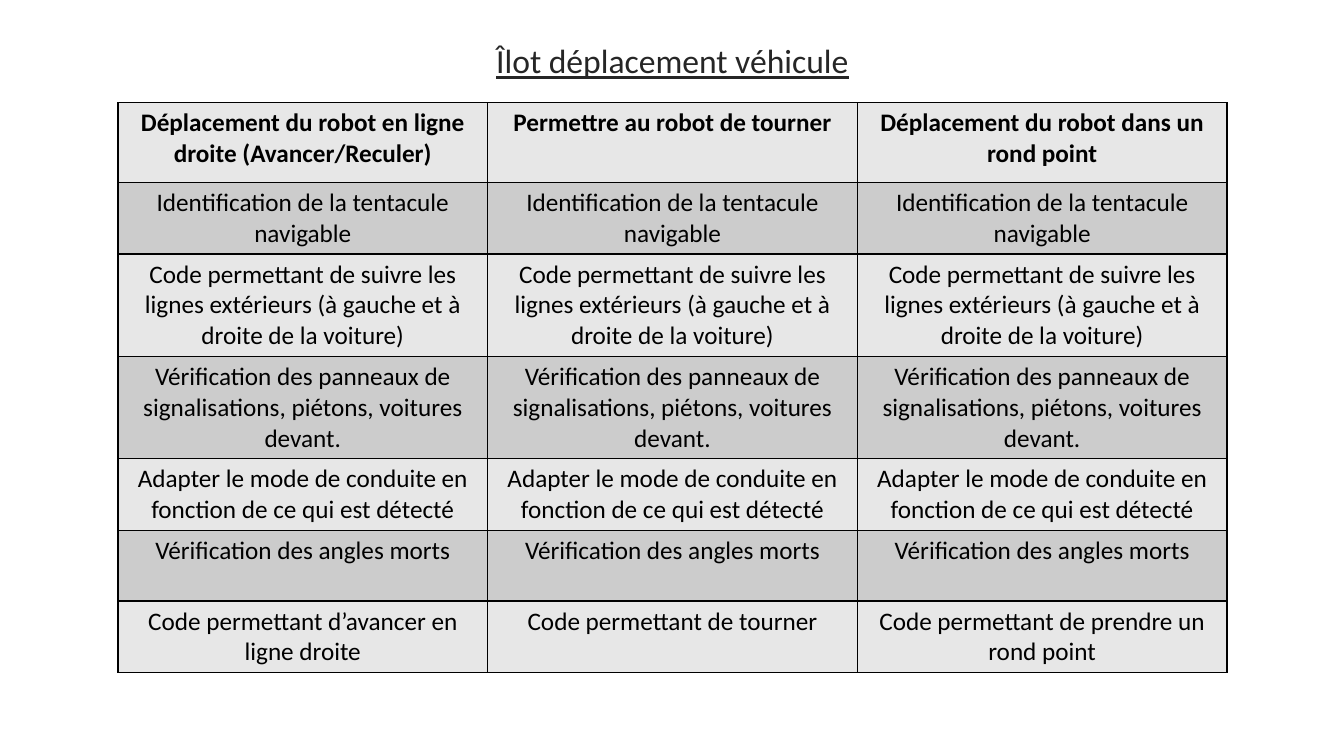
from lxml import etree
from pptx import Presentation
from pptx.dml.color import RGBColor
from pptx.enum.text import MSO_ANCHOR, PP_ALIGN
from pptx.oxml.ns import qn
from pptx.util import Pt

PX = 9144  # 100 px to the inch
CENTER = PP_ALIGN.CENTER
MIDDLE = MSO_ANCHOR.MIDDLE
TITLE_ONLY = 5
FONT = "Calibri"
BLACK, LIGHT, DARK = "000000", "E7E7E7", "CCCCCC"
HEADER_HEIGHT, ROW_HEIGHT = 79, 70

HEADINGS = [
    "Déplacement du robot en ligne droite (Avancer/Reculer)",
    "Permettre au robot de tourner",
    "Déplacement du robot dans un rond point",
]
SHARED_STEPS = [
    "Identification de la tentacule navigable",
    "Code permettant de suivre les lignes extérieurs (à gauche et à droite de la voiture)",
    "Vérification des panneaux de signalisations, piétons, voitures devant.",
    "Adapter le mode de conduite en fonction de ce qui est détecté",
    "Vérification des angles morts",
]
FINAL_STEPS = [
    "Code permettant d’avancer en ligne droite",
    "Code permettant de tourner",
    "Code permettant de prendre un rond point",
]


def px(length):
    return round(length * PX)


def color(value):
    return RGBColor.from_string(value)


def write(frame, text, size=18, ink=BLACK, bold=False, underline=False):
    para = frame.paragraphs[0]
    para.alignment = CENTER
    span = para.add_run()
    span.text = text
    font = span.font
    font.name, font.size = FONT, Pt(size)
    font.bold, font.underline = bold, underline
    font.color.rgb = color(ink)


def set_borders(cell, ink=BLACK, width=1):
    properties = cell._tc.get_or_add_tcPr()
    for position, side in enumerate(("a:lnL", "a:lnR", "a:lnT", "a:lnB")):
        line = etree.Element(qn(side), w=str(Pt(width)))
        fill = etree.SubElement(line, qn("a:solidFill"))
        etree.SubElement(fill, qn("a:srgbClr"), val=ink)
        properties.insert(position, line)


def add_title(page, left, top, width, height):
    title = page.shapes.title
    title.left, title.top = px(left), px(top)
    title.width, title.height = px(width), px(height)
    title.fill.solid()
    title.fill.fore_color.rgb = color("FFFFFF")
    title.text_frame.vertical_anchor = MIDDLE
    write(title.text_frame, "Îlot déplacement véhicule",
          size=24, ink="262626", underline=True)


def add_steps_table(page, left, top, width):
    columns = len(HEADINGS)
    rows = [HEADINGS, *([step] * columns for step in SHARED_STEPS), FINAL_STEPS]
    height = HEADER_HEIGHT + ROW_HEIGHT * (len(rows) - 1)
    table = page.shapes.add_table(
        len(rows), columns, px(left), px(top), px(width), px(height)).table

    for column in table.columns:
        column.width = px(width / columns)
    for index, texts in enumerate(rows):
        is_header = index == 0
        table.rows[index].height = px(HEADER_HEIGHT if is_header else ROW_HEIGHT)
        for cell, text in zip(table.rows[index].cells, texts):
            cell.fill.solid()
            cell.fill.fore_color.rgb = color(DARK if index % 2 else LIGHT)
            set_borders(cell)
            write(cell.text_frame, text, bold=is_header)


def main():
    deck = Presentation()
    deck.slide_width, deck.slide_height = px(1333), px(750)
    page = deck.slides.add_slide(deck.slide_layouts[TITLE_ONLY])
    add_steps_table(page, 117, 102, 1100)
    add_title(page, 476, 32, 382, 56)
    deck.save("out.pptx")


if __name__ == "__main__":
    main()
